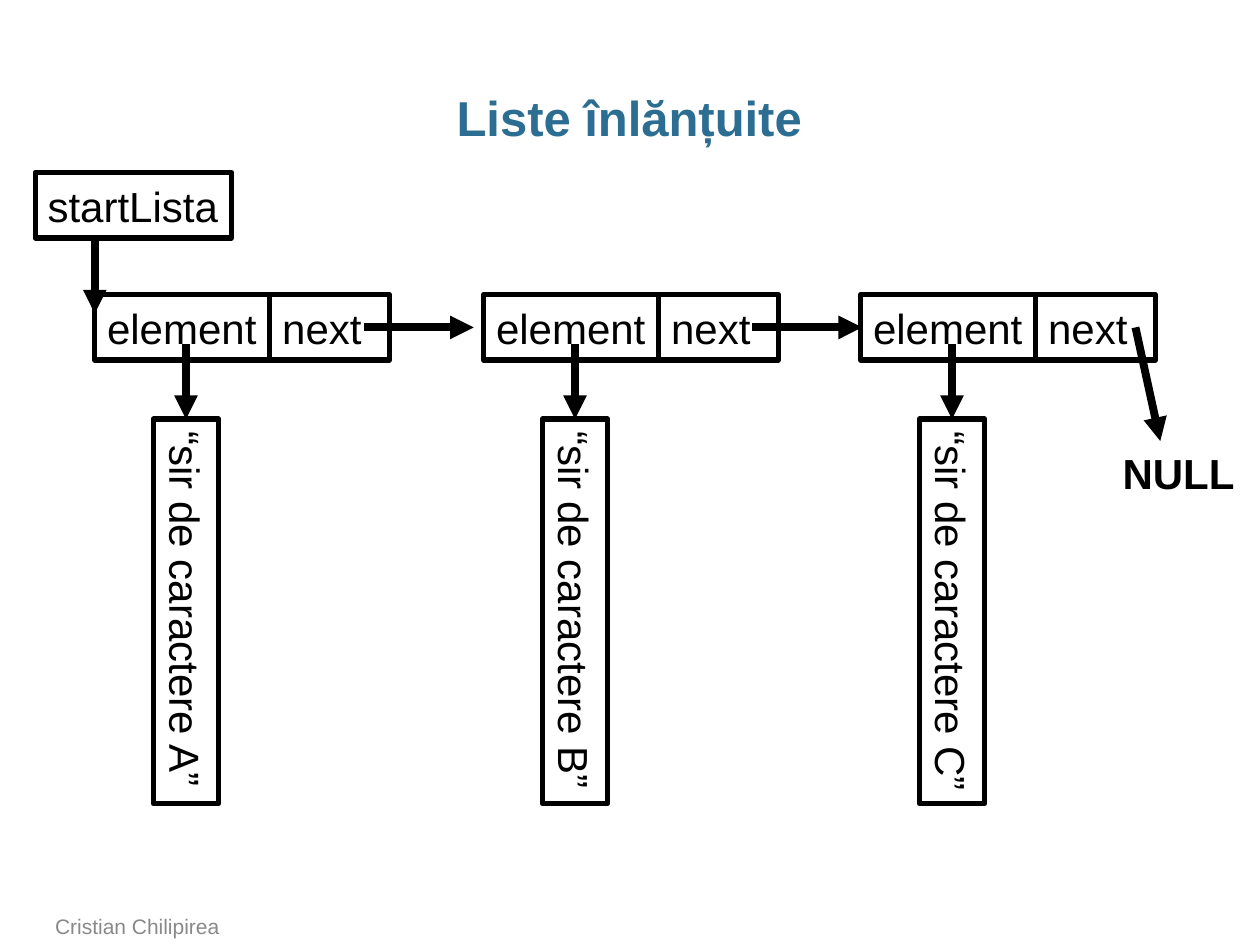
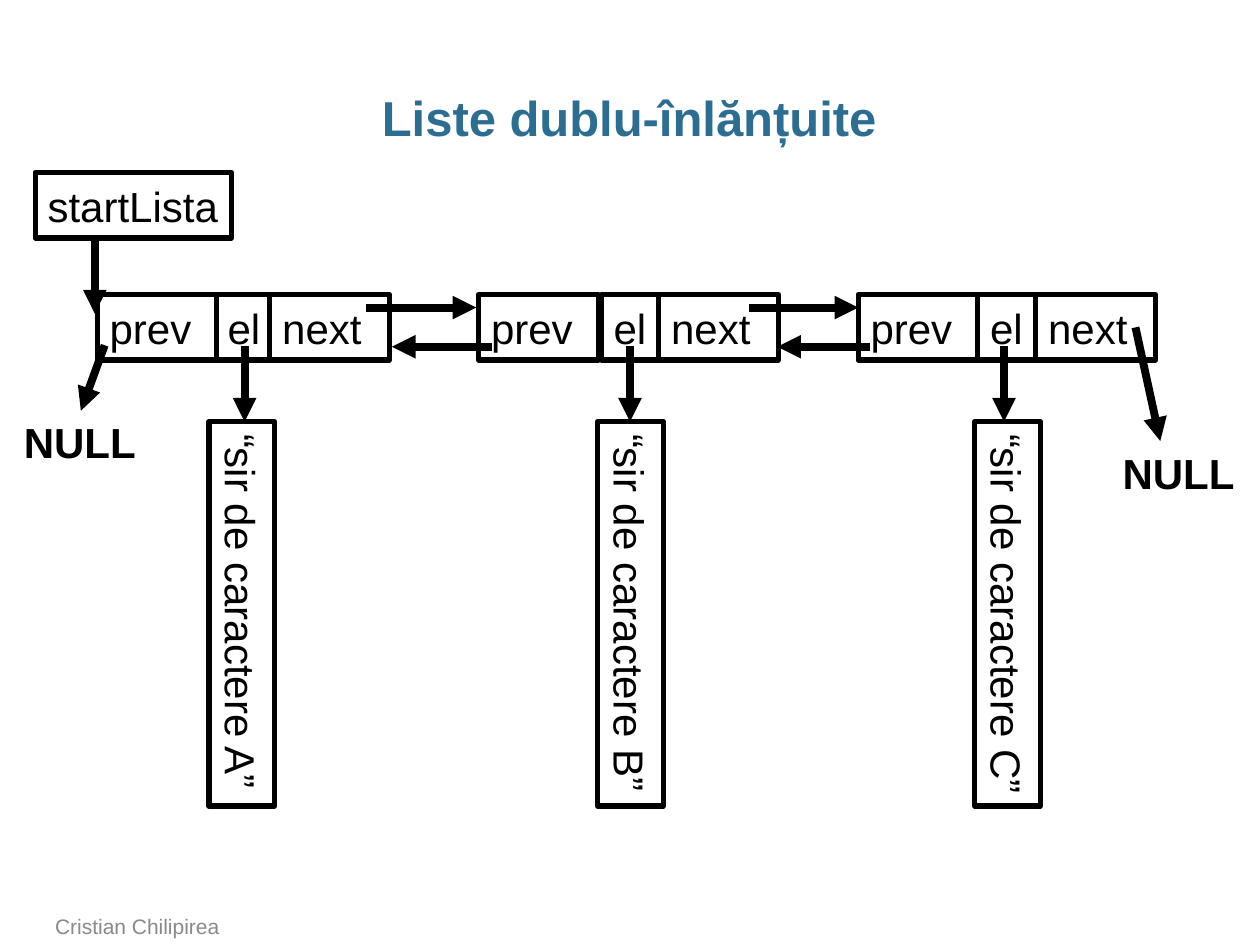
"""Build two slides that draw a singly and a doubly linked list."""
from lxml import etree
from pptx import Presentation
from pptx import util as u
from pptx.dml.color import RGBColor
from pptx.enum import shapes, text
from pptx.oxml.ns import qn

FONT = "Arial"
BLACK, WHITE, TITLE_BLUE, FOOTER_GREY = "000000", "FFFFFF", "2C6D92", "898989"
AUTHOR = "Cristian Chilipirea"

STRINGS = ["“sir de caractere A”", "“sir de caractere B”", "“sir de caractere C”"]
NEXT_LEFTS = [5.44, 13.28, 20.88]
NEXT_WIDTH = 2.41
ROW_TOP, BOX_HEIGHT = 5.94, 1.32
ROW_MIDDLE = ROW_TOP + BOX_HEIGHT / 2
STRING_LENGTH, DROP = 7.75, 1.52
START_BOX = (0.71, 3.48, 3.96, BOX_HEIGHT)
START_ARROW = (1.91, 4.8, 1.91, 6.32)
LAST_ARROW = (22.89, ROW_MIDDLE, 23.39, 8.89)
NULL_SIZE = (2.79, 1.27)
RIGHT_NULL = (22.38, 8.89)

LISTS = [
    {
        "title": "Liste înlănțuite",
        "fields": [("element", [left - 3.53 for left in NEXT_LEFTS], [3.71] * 3)],
        "string_offset": -1.69,
        "string_top": 8.45,
        "drops": [3.75, 11.59, 19.19],
        "joined": True,
        "arrows": [(7.34, ROW_MIDDLE, 9.55, ROW_MIDDLE), (15.16, ROW_MIDDLE, 17.38, ROW_MIDDLE)],
        "nulls": [RIGHT_NULL],
    },
    {
        "title": "Liste dublu-înlănțuite",
        "fields": [
            ("el", [4.34, 12.12, 19.71], [1.24, 1.32, 1.32]),
            ("prev", [1.96, 9.65, 17.3], [NEXT_WIDTH] * 3),
        ],
        "string_offset": -0.57,
        "string_top": 8.5,
        "drops": [4.93, 12.7, 20.24],
        "joined": False,
        "arrows": [
            (7.37, 6.2, 9.6, 6.2),
            (15.09, 6.2, 17.3, 6.2),
            (2.11, 6.96, 1.63, 8.28),
            (9.91, 6.99, 7.9, 6.99),
            (17.53, 6.99, 15.67, 6.99),
        ],
        "nulls": [RIGHT_NULL, (0.23, 8.28)],
    },
]


def color(value):
    """Turn a hex string into a colour."""
    return RGBColor.from_string(value)


def cm(values):
    """Turn numbers into lengths."""
    return [u.Cm(value) for value in values]


def write(shape, words, size, ink=BLACK, bold=False, **frame_format):
    """Put one formatted paragraph into a shape and return the paragraph."""
    frame = shape.text_frame
    for name, value in frame_format.items():
        setattr(frame, name, value)
    paragraph = frame.paragraphs[0]
    paragraph.alignment = text.PP_ALIGN.LEFT
    run = paragraph.add_run()
    run.text = words
    for name, value in {"name": FONT, "size": u.Pt(size), "bold": bold}.items():
        setattr(run.font, name, value)
    run.font.color.rgb = color(ink)
    return paragraph


def add_box(slide, words, place, rotation=0):
    """Add an outlined box with a label."""
    shape = slide.shapes.add_shape(shapes.MSO_SHAPE.RECTANGLE, *cm(place))
    shape.shadow.inherit = False
    shape.rotation = rotation
    shape.fill.solid()
    shape.fill.fore_color.rgb = color(WHITE)
    shape.line.color.rgb = color(BLACK)
    shape.line.width = u.Pt(3)
    write(shape, words, 24, word_wrap=False, vertical_anchor=text.MSO_ANCHOR.MIDDLE)
    return shape


def add_arrow(slide, ends, target=None):
    """Add an arrow, joined to the upper side of an upright string box if given."""
    connector = slide.shapes.add_connector(shapes.MSO_CONNECTOR.STRAIGHT, *cm(ends))
    if target is not None:
        connector.end_connect(target, 1)
        connector.end_x, connector.end_y = cm(ends[2:])
    connector.line.color.rgb = color(BLACK)
    connector.line.width = u.Pt(4.5)
    etree.SubElement(connector.line._get_or_add_ln(), qn("a:tailEnd"), type="triangle")
    etree.SubElement(connector._element.spPr, qn("a:effectLst"))


def add_title(slide, words):
    """Place and format the title."""
    title = slide.shapes.title
    place = cm((0.86, 1.73, 23.65, 1.27))
    for name, value in zip(("left", "top", "width", "height"), place):
        setattr(title, name, value)
    paragraph = write(
        title, words, 28, TITLE_BLUE, True,
        margin_left=0, margin_right=0, auto_size=text.MSO_AUTO_SIZE.NONE,
        vertical_anchor=text.MSO_ANCHOR.TOP,
    )
    paragraph.alignment = text.PP_ALIGN.CENTER
    paragraph.line_spacing = 0.95


def add_list(presentation, spec_list):
    """Add one slide with a linked list."""
    slide = presentation.slides.add_slide(presentation.slide_layouts[5])
    add_title(slide, spec_list["title"])
    footer = slide.shapes.add_textbox(*cm((0.86, 18.34, 18.72, 0.71)))
    write(footer, AUTHOR, 12, FOOTER_GREY, word_wrap=True,
          vertical_anchor=text.MSO_ANCHOR.BOTTOM)

    first, *others = spec_list["fields"]
    for words, lefts, widths in [first, ("next", NEXT_LEFTS, [NEXT_WIDTH] * 3), *others]:
        for left, width in zip(lefts, widths):
            add_box(slide, words, (left, ROW_TOP, width, BOX_HEIGHT))

    top = spec_list["string_top"]
    for words, next_left, drop in zip(STRINGS, NEXT_LEFTS, spec_list["drops"]):
        left = next_left + spec_list["string_offset"] - STRING_LENGTH / 2
        middle = top + STRING_LENGTH / 2
        place = (left, middle - BOX_HEIGHT / 2, STRING_LENGTH, BOX_HEIGHT)
        string_box = add_box(slide, words, place, 90)
        add_arrow(slide, (drop, top - DROP, drop, top),
                  string_box if spec_list["joined"] else None)

    add_box(slide, "startLista", START_BOX)
    for ends in [START_ARROW, *spec_list["arrows"], LAST_ARROW]:
        add_arrow(slide, ends)
    for corner in spec_list["nulls"]:
        null = slide.shapes.add_textbox(*cm(corner + NULL_SIZE))
        write(null, "NULL", 24, bold=True, word_wrap=False,
              auto_size=text.MSO_AUTO_SIZE.SHAPE_TO_FIT_TEXT)


def main():
    """Build and save the presentation."""
    presentation = Presentation()
    presentation.slide_width, presentation.slide_height = cm((25.4, 19.05))
    for linked_list in LISTS:
        add_list(presentation, linked_list)
    presentation.save("out.pptx")


if __name__ == "__main__":
    main()
